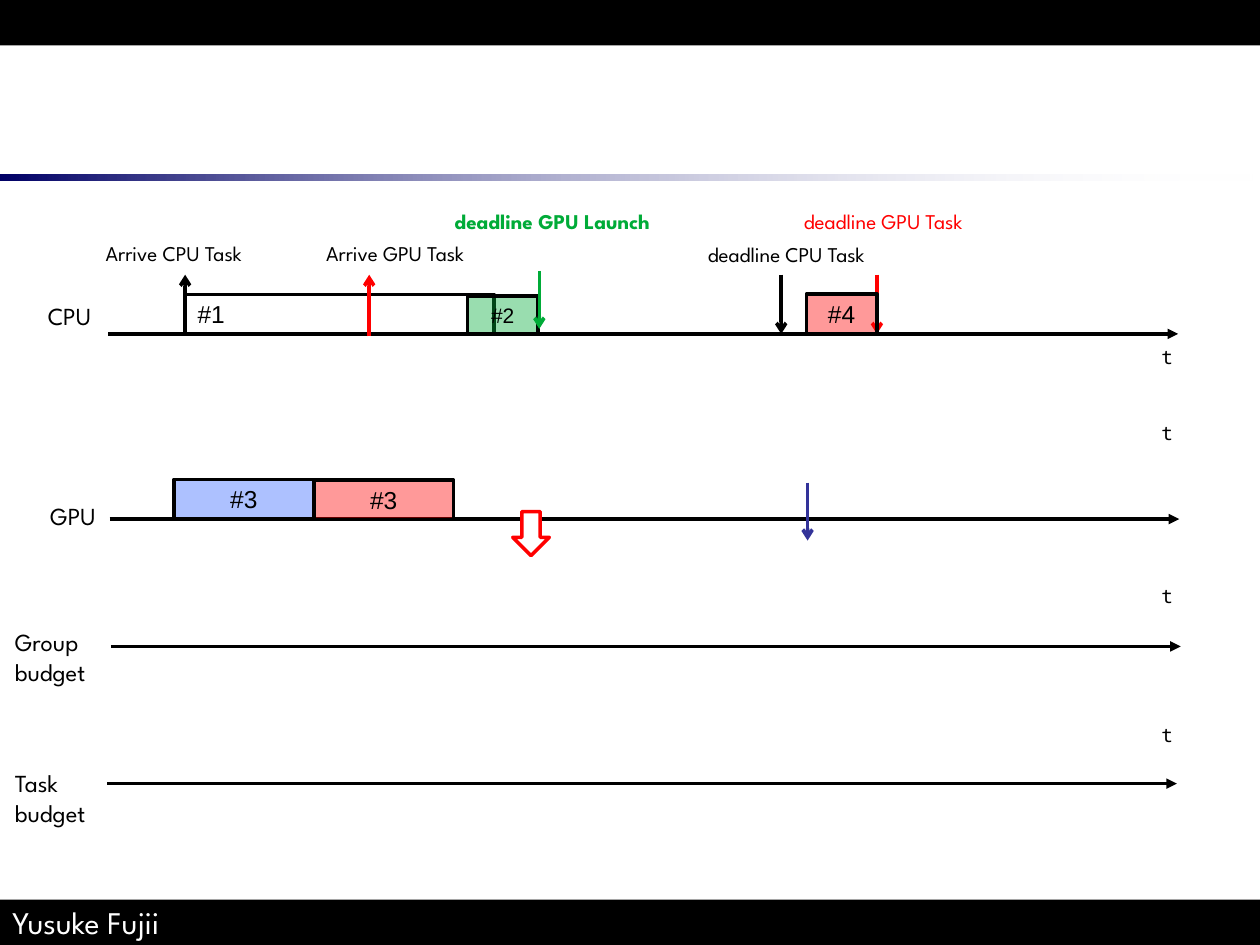
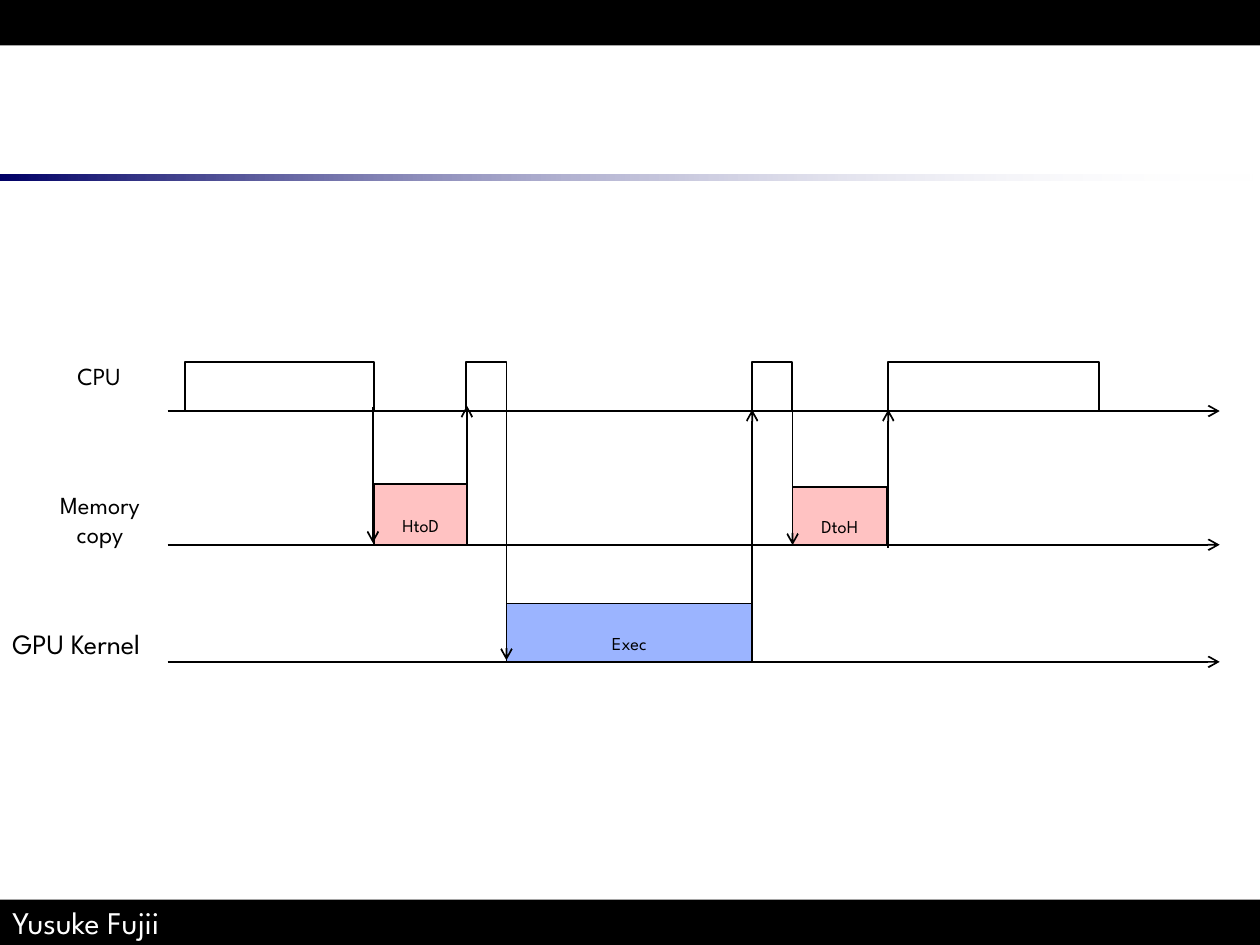
from pptx import Presentation
from pptx.dml.color import RGBColor
from pptx.enum import shapes, text
from pptx.oxml import ns, xmlchemy
from pptx.util import Pt

BLACK = RGBColor(0, 0, 0)
WHITE = RGBColor(255, 255, 255)
RED = RGBColor(255, 0, 0)
GREEN = RGBColor(0x00, 0xAB, 0x38)
BLUE = RGBColor(0x33, 0x66, 0xFF)
INDIGO = RGBColor(0x33, 0x33, 0x99)
NAVY = RGBColor(0x00, 0x00, 0x66)

BODY, BOX_FONT, MONO = "League Spartan", "Arial", "Noto Sans Mono"
LEFT, CENTER = text.PP_ALIGN.LEFT, text.PP_ALIGN.CENTER
RECT, DOWN_ARROW = shapes.MSO_SHAPE.RECTANGLE, shapes.MSO_SHAPE.DOWN_ARROW
WIDTH, HEIGHT, BAND = 720, 540, 26
AUTHOR = "Yusuke Fujii"

# Schedule: axes are (left, y); boxes are (text, at, fill, opacity, size, align)
SCHEDULE_AXIS_LENGTH = 611.3
SCHEDULE_AXES = [(61.9, 190.8), (62.6, 296.6), (63.4, 369.4), (61.2, 447.8)]
TIME_LEFT, TIME_TOPS = 656.6, [193.7, 236.9, 330.5, 409.7]
SCHEDULE_LABELS = [
    ("CPU", (20.2, 168.5, 43.9, 24.5), 14, BLACK, False),
    ("GPU", (21.6, 283, 44.6, 24.5), 14, BLACK, False),
    ("Group\nbudget", (1.4, 355, 67.7, 41), 14, BLACK, False),
    ("Task\nbudget", (1.4, 435.6, 66.2, 41), 14, BLACK, False),
    ("Arrive CPU Task", (53.3, 133.9, 103.7, 21.6), 12, BLACK, False),
    ("Arrive GPU Task", (179.3, 133.9, 103.7, 21.6), 12, BLACK, False),
    ("deadline CPU Task", (397.4, 134.6, 122.4, 21.6), 12, BLACK, False),
    ("deadline GPU Task", (452.2, 115.9, 123.8, 21.6), 12, RED, False),
    ("deadline GPU Launch", (252.7, 115.9, 141.8, 21.6), 12, GREEN, True),
]
SCHEDULE_BOXES = [
    ("#1", (105.8, 168.3, 176.4, 22.5), WHITE, 100, 14, LEFT),
    ("#2", (267.1, 169, 40.3, 21.8), GREEN, 40, 12, CENTER),
    ("#4", (460.8, 168, 40.3, 22.5), RED, 40, 14, CENTER),
    ("#3", (99.4, 273.9, 79.9, 22.3), BLUE, 40, 14, CENTER),
    ("#3", (179.3, 274.3, 79.9, 22.5), RED, 40, 14, CENTER),
]
BUDGET_ARROW = (293, 292.3, 20.9, 25.2)
DEADLINE_BEHIND = [(501.1, 157, 190.8, RED)]
EVENTS = [
    (105.8, 190.8, 157, BLACK),
    (211, 192.2, 157, RED),
    (446.4, 157, 190.8, BLACK),
    (461.5, 275.8, 308.9, INDIGO),
    (308.2, 154.8, 187.9, GREEN),
]

# Kernel launch: (x, start y, end y) for transfers between the lanes
LANE_LEFT, LANE_RIGHT = 95.8, 697
LANES = [234.9, 311.3, 378.2]
CPU_BOXES = [(105.8, 108), (266.4, 23), (429.8, 23), (507.6, 120.3)]
CPU_BOX_HEIGHT = 28.1
WORK_BOXES = [
    ("HtoD", (213.8, 276.5, 53.3, 35), RED, 24),
    ("DtoH", (452.9, 278.4, 54, 33), RED, 24),
    ("Exec", (289.4, 344.9, 140.4, 33.1), BLUE, 49),
]
TRANSFERS = [
    (213.1, 232.6, 310.3), (266.8, 311, 231.8), (289.4, 233.3, 377.3),
    (429.8, 377.3, 234), (452.9, 234.7, 311.5), (507.6, 313, 234),
]
LANE_LABELS = [
    ("CPU", (34.6, 203, 43.9, 24.5), 14, CENTER),
    ("Memory\ncopy", (19.4, 276.5, 75.6, 53.3), 14, CENTER),
    ("GPU Kernel", (0, 354.2, 105.8, 34.6), 16, LEFT),
]


def set_alpha(sp, percent, index=0):
    color = list(sp._element.spPr.iter(ns.qn("a:srgbClr")))[index]
    alpha = xmlchemy.OxmlElement("a:alpha")
    alpha.set("val", str(percent * 1000))
    color.append(alpha)


def write(sp, words, size, color=BLACK, font=BODY, align=LEFT, bold=False, baseline=0):
    tf = sp.text_frame
    tf.text = words
    for p in tf.paragraphs:
        p.alignment = align
        for r in p.runs:
            r.font.name, r.font.size, r.font.bold = font, Pt(size), bold
            r.font.color.rgb = color
            if baseline:
                r._r.get_or_add_rPr().set("baseline", str(baseline * 1000))


def add_box(s, at, fill, opacity=100, line=None, width=2, kind=RECT):
    sp = s.shapes.add_shape(kind, *map(Pt, at))
    sp.shadow.inherit = False
    sp.fill.solid()
    sp.fill.fore_color.rgb = fill
    if opacity < 100:
        set_alpha(sp, opacity)
    if line is None:
        sp.line.fill.background()
    else:
        sp.line.color.rgb = line
        sp.line.width = Pt(width)
    sp.text_frame.vertical_anchor = text.MSO_ANCHOR.MIDDLE
    return sp


def add_label(s, words, at, size, color=BLACK, font=BODY, align=LEFT, bold=False):
    sp = s.shapes.add_textbox(*map(Pt, at))
    sp.text_frame.word_wrap = "\n" in words and align == LEFT
    write(sp, words, size, color, font, align, bold)


def add_arrow(s, x1, y1, x2, y2, color=BLACK, width=2, head="arrow"):
    c = s.shapes.add_connector(shapes.MSO_CONNECTOR.STRAIGHT, Pt(x1), Pt(y1), Pt(x2), Pt(y2))
    c.line.color.rgb = color
    c.line.width = Pt(width)
    tail = xmlchemy.OxmlElement("a:tailEnd")
    tail.set("type", head)
    c.line._get_or_add_ln().append(tail)
    c._element.spPr.append(xmlchemy.OxmlElement("a:effectLst"))


def add_framed_slide(prs):
    s = prs.slides.add_slide(prs.slide_layouts[6])
    rule = add_box(s, (0, 99.8, WIDTH, 3.6), NAVY)
    rule.fill.gradient()
    rule.fill.gradient_angle = 0
    for stop, color, position in zip(rule.fill.gradient_stops, (NAVY, WHITE), (0, 1)):
        stop.color.rgb = color
        stop.position = position
    set_alpha(rule, 0, 1)
    footer = add_box(s, (0, HEIGHT - BAND, WIDTH, BAND), BLACK)
    write(footer, AUTHOR, 18, WHITE)
    add_box(s, (0, 0, WIDTH, BAND), BLACK)
    return s


def build_schedule(prs):
    s = add_framed_slide(prs)
    for x, y in SCHEDULE_AXES:
        add_arrow(s, x, y, x + SCHEDULE_AXIS_LENGTH, y, head="triangle")
    for x, start, end, color in DEADLINE_BEHIND:
        add_arrow(s, x, start, x, end, color)
    for words, at, fill, opacity, size, align in SCHEDULE_BOXES:
        sp = add_box(s, at, fill, opacity, BLACK)
        write(sp, words, size, font=BOX_FONT, align=align)
    for x, start, end, color in EVENTS:
        add_arrow(s, x, start, x, end, color)
    add_box(s, BUDGET_ARROW, WHITE, line=RED, kind=DOWN_ARROW)
    for words, at, size, color, bold in SCHEDULE_LABELS:
        add_label(s, words, at, size, color, bold=bold)
    for top in TIME_TOPS:
        add_label(s, "t", (TIME_LEFT, top, 20.9, 20.9), 11, font=MONO)


def build_kernel_launch(prs):
    s = add_framed_slide(prs)
    for words, at, size, align in LANE_LABELS:
        add_label(s, words, at, size, align=align)
    for x, width in CPU_BOXES:
        add_box(s, (x, LANES[0] - CPU_BOX_HEIGHT, width, CPU_BOX_HEIGHT), WHITE, line=BLACK, width=1)
    for words, at, fill, opacity in WORK_BOXES:
        sp = add_box(s, at, fill, opacity, BLACK, 1)
        write(sp, words, 18, align=CENTER, baseline=-25)
    for x, start, end in TRANSFERS:
        add_arrow(s, x, start, x, end, width=1)
    for y in LANES:
        add_arrow(s, LANE_LEFT, y, LANE_RIGHT, y, width=1)


def main():
    prs = Presentation()
    prs.slide_width, prs.slide_height = Pt(WIDTH), Pt(HEIGHT)
    build_schedule(prs)
    build_kernel_launch(prs)
    prs.save("out.pptx")


if __name__ == "__main__":
    main()
